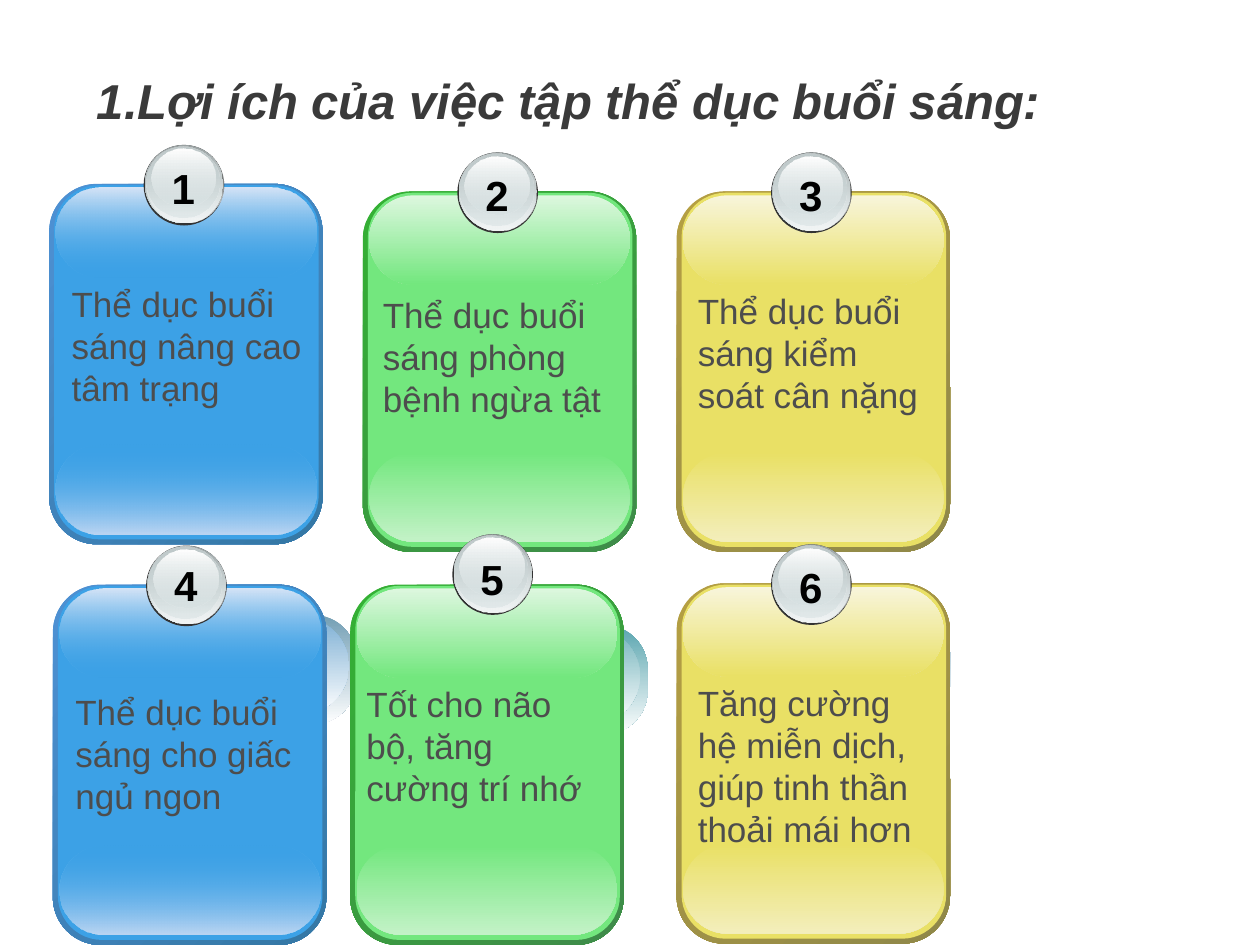
from lxml.etree import SubElement
from pptx import Presentation
from pptx.dml.color import RGBColor
from pptx.enum.shapes import MSO_SHAPE
from pptx.enum.text import MSO_AUTO_SIZE, PP_ALIGN
from pptx.oxml.ns import qn
from pptx.util import Inches, Pt

FONT = "Arial"
BLACK = RGBColor(0x00, 0x00, 0x00)
WHITE = RGBColor(0xFF, 0xFF, 0xFF)
INK = RGBColor(0x3A, 0x3A, 0x3A)
GREY = RGBColor(0x4D, 0x4D, 0x4D)
RIM = RGBColor(0x33, 0x33, 0x33)
STEEL = RGBColor(0x99, 0xA1, 0xA2)
SILVER = RGBColor(0xD6, 0xE1, 0xE2)
MIST = RGBColor(0xF2, 0xF5, 0xF5)
CLOUD = RGBColor(0xC1, 0xCB, 0xCC)

# Card themes: edge start, edge end, body, top gloss, bottom gloss, body alpha
BLUE = (RGBColor(0x4E, 0x91, 0xD4), RGBColor(0x34, 0x77, 0xA4),
        RGBColor(0x3C, 0xA1, 0xE6), RGBColor(0xD7, 0xE5, 0xF7),
        RGBColor(0xBD, 0xD6, 0xF3), 0)
GREEN = (RGBColor(0x34, 0xB0, 0x34), RGBColor(0x3F, 0x8B, 0x4A),
         RGBColor(0x73, 0xE7, 0x7E), RGBColor(0xDD, 0xF7, 0xDF),
         RGBColor(0xC3, 0xF2, 0xC7), 100)
GOLD = (RGBColor(0xB5, 0x9F, 0x43), RGBColor(0x8F, 0x88, 0x49),
        RGBColor(0xE9, 0xE0, 0x65), RGBColor(0xF8, 0xF5, 0xDB),
        RGBColor(0xF3, 0xEE, 0xBB), 100)

TITLE = "1.Lợi ích của việc tập thể dục buổi sáng:"

# Number, text, theme, card corner, badge corner, number top, text box
CARDS = [
    ("1", "Thể dục buổi sáng nâng cao tâm trạng", BLUE,
     (0.39, 1.46), (1.14, 1.15), 1.24, (0.47, 2.19, 2.06, 1.11)),
    ("2", "Thể dục buổi sáng phòng bệnh ngừa tật", GREEN,
     (2.88, 1.52), (3.63, 1.21), 1.3, (2.94, 2.28, 2.15, 1.11)),
    ("3", "Thể dục buổi sáng kiểm soát cân nặng", GOLD,
     (5.37, 1.52), (6.12, 1.21), 1.3, (5.44, 2.25, 2.06, 1.11)),
    ("4", "Thể dục buổi sáng cho giấc ngủ ngon", BLUE,
     (0.42, 4.64), (1.16, 4.33), 4.39, (0.5, 5.43, 2.06, 1.11)),
    ("5", "Tốt cho não bộ, tăng cường trí nhớ", GREEN,
     (2.78, 4.64), (3.59, 4.24), 4.34, (2.81, 5.37, 2.06, 1.11)),
    ("6", "Tăng cường hệ miễn dịch, giúp tinh thần thoải mái hơn", GOLD,
     (5.37, 4.63), (6.12, 4.32), 4.41, (5.44, 5.36, 2.06, 1.45)),
]

# Reflections under the top row: corner, outer colour, inner colour
GLOWS = [
    ((0.66, 4.88), RGBColor(0x72, 0x9E, 0xB4), RGBColor(0x7D, 0xAF, 0xD4)),
    ((2.97, 4.96), RGBColor(0x58, 0xA4, 0xAE), RGBColor(0x72, 0xB2, 0xBB)),
    ((5.38, 4.88), RGBColor(0x99, 0xBA, 0xCC), RGBColor(0xC8, 0xDA, 0xD4)),
]

# Badge layers: offset and size, then colour stops with alpha percent
BADGE = [
    ((0, 0, 0.64, 0.64), [(RIM, 100)]),
    ((0.01, 0, 0.62, 0.62), [(STEEL, 100), (SILVER, 100)]),
    ((0.02, 0.01, 0.61, 0.61), [(SILVER, 0), (MIST, 100)]),
    ((0.02, 0.01, 0.58, 0.57), [(CLOUD, 100), (SILVER, 48)]),
    ((0.06, 0.03, 0.51, 0.46), [(WHITE, 100), (SILVER, 38)]),
]

prs = Presentation()
prs.slide_width, prs.slide_height = Inches(10), Inches(7.5)
slide = prs.slides.add_slide(prs.slide_layouts[6])


def paint(shape, stops, angle):
    """Fill with one colour, or with a gradient at a clockwise angle."""
    fill = shape.fill
    if len(stops) == 1:
        fill.solid()
        fill.fore_color.rgb = stops[0][0]
        return
    fill.gradient()
    fill.gradient_angle = 360 - angle
    for stop, (color, alpha) in zip(fill.gradient_stops, stops):
        stop.color.rgb = color
    tags = shape._element.spPr.iter(qn("a:srgbClr"))
    for tag, (color, alpha) in zip(tags, stops):
        if alpha < 100:
            SubElement(tag, qn("a:alpha")).set("val", str(alpha * 1000))


def draw(corner, box, stops, round=None, angle=90):
    """Add a rounded box, or an ellipse when no rounding is given."""
    kind = MSO_SHAPE.OVAL if round is None else MSO_SHAPE.ROUNDED_RECTANGLE
    x, y, w, h = box
    shape = slide.shapes.add_shape(
        kind, Inches(corner[0] + x), Inches(corner[1] + y),
        Inches(w), Inches(h))
    if round is not None:
        shape.adjustments[0] = round
    shape.shadow.inherit = False
    shape.line.fill.background()
    paint(shape, stops, angle)


def write(text, box, size, color, bold=False, italic=False,
          wrap=True, align=PP_ALIGN.LEFT):
    frame = slide.shapes.add_textbox(*map(Inches, box)).text_frame
    frame.word_wrap = wrap
    frame.auto_size = MSO_AUTO_SIZE.SHAPE_TO_FIT_TEXT
    frame.text = text
    para = frame.paragraphs[0]
    para.alignment = align
    font = para.runs[0].font
    font.name, font.size = FONT, Pt(size)
    font.bold, font.italic = bold, italic
    font.color.rgb = color


# Reflections
for spot, outer, inner in GLOWS:
    draw(spot, (0, 0, 2.17, 0.87), [(outer, 100), (WHITE, 100)], 0.4)
    draw(spot, (0.04, 0.02, 2.07, 0.77), [(inner, 100), (WHITE, 100)], 0.5)

# Title
write(TITLE, (0.67, 0.51, 7.78, 0.57), 28, INK, True, True, wrap=False)

# Cards with glossy ends, badges and text
for num, text, theme, spot, disc, top, box in CARDS:
    start, end, body, light, pale, alpha = theme
    draw(spot, (0, 0, 2.17, 2.86), [(start, 100), (end, 100)], 0.175, 45)
    draw(spot, (0.04, 0.01, 2.1, 2.81), [(body, 100)], 0.167)
    draw(spot, (0.05, 2.07, 2.07, 0.71), [(body, alpha), (pale, 100)], 0.5)
    draw(spot, (0.05, 0.03, 2.07, 0.71), [(light, 100), (body, alpha)], 0.5)
    for layer, stops in BADGE:
        draw(disc, layer, stops)
    write(num, (disc[0] + 0.12, top, 0.39, 0.5), 24, BLACK, True,
          wrap=False, align=PP_ALIGN.CENTER)
    write(text, box, 20, GREY)

prs.save("out.pptx")
